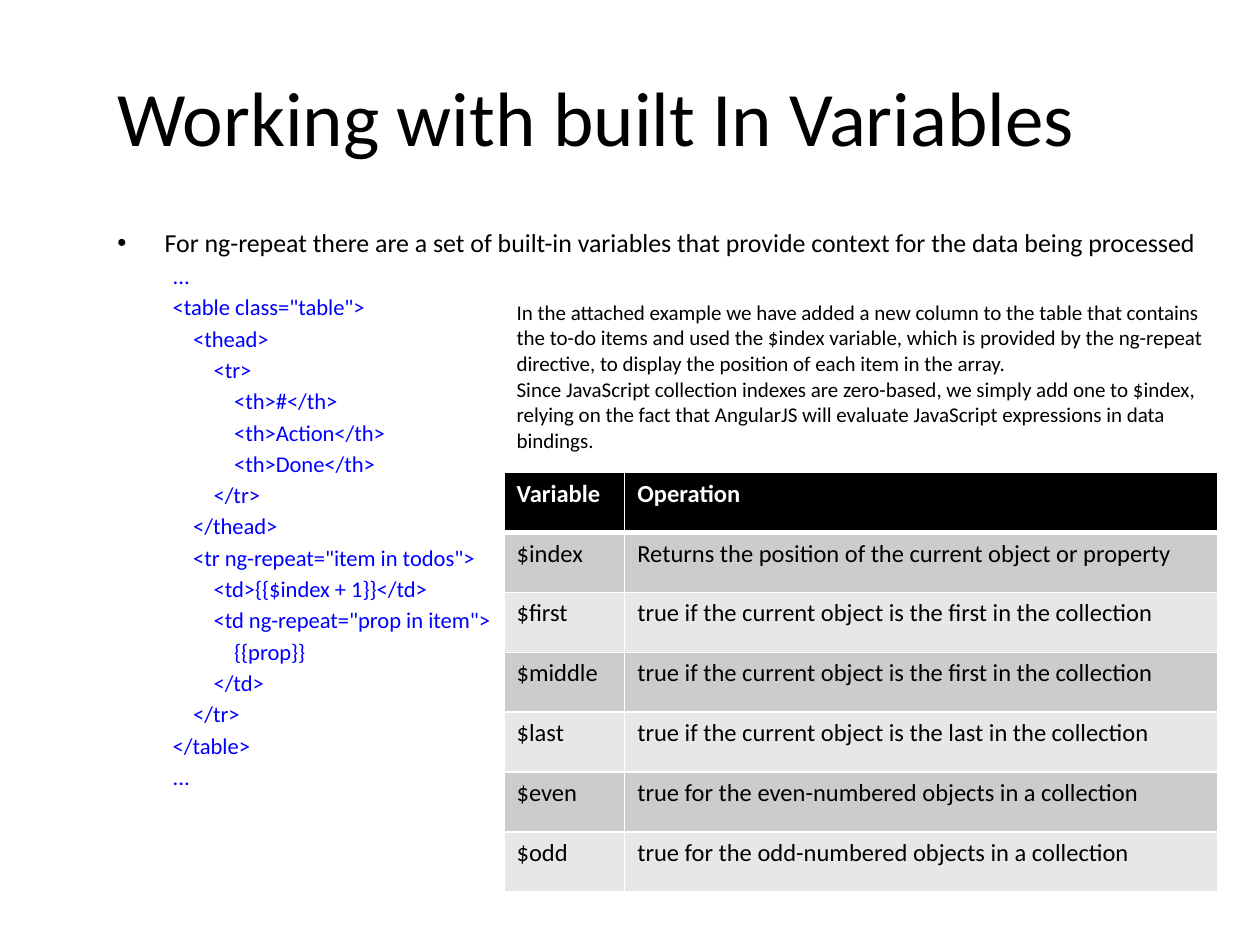
from dataclasses import dataclass

from lxml.etree import SubElement
from pptx import Presentation
from pptx.dml.color import RGBColor
from pptx.enum.text import MSO_ANCHOR, PP_ALIGN
from pptx.oxml.ns import qn
from pptx.util import Pt


@dataclass(frozen=True)
class Theme:
    font: str = "Calibri"
    black: str = "000000"
    white: str = "FFFFFF"
    code: str = "0000FF"
    bands: tuple = ("CCCCCC", "E7E7E7")
    title_size: float = 44
    bullet_size: float = 14.8
    code_size: float = 12.9
    note_size: float = 12
    table_size: float = 14


THEME = Theme()

BULLET = ("For ng-repeat there are a set of built-in variables that provide "
          "context for the data being processed")

# Each code line has its nesting depth
CODE = [
    (0, "..."),
    (0, '<table class="table">'),
    (1, "<thead>"),
    (2, "<tr>"),
    (3, "<th>#</th>"),
    (3, "<th>Action</th>"),
    (3, "<th>Done</th>"),
    (2, "</tr>"),
    (1, "</thead>"),
    (1, '<tr ng-repeat="item in todos">'),
    (2, "<td>{{$index + 1}}</td>"),
    (2, '<td ng-repeat="prop in item">'),
    (3, "{{prop}}"),
    (2, "</td>"),
    (1, "</tr>"),
    (0, "</table>"),
    (0, "..."),
]

NOTES = [
    "In the attached example we have added a new column to the table that "
    "contains the to-do items and used the $index variable, which is provided "
    "by the ng-repeat directive, to display the position of each item in the array.",
    "Since JavaScript collection indexes are zero-based, we simply add one to "
    "$index, relying on the fact that AngularJS will evaluate JavaScript "
    "expressions in data bindings.",
]

VARIABLES = [
    ("Variable", "Operation"),
    ("$index", "Returns the position of the current object or property"),
    ("$first", "true if the current object is the first in the collection"),
    ("$middle", "true if the current object is the first in the collection"),
    ("$last", "true if the current object is the last in the collection"),
    ("$even", "true for the even-numbered objects in a collection"),
    ("$odd", "true for the odd-numbered objects in a collection"),
]


def add_run(paragraph, text, size, color=THEME.black, bold=False):
    run = paragraph.add_run()
    run.text = text
    run.font.name = THEME.font
    run.font.size = Pt(size)
    run.font.bold = bold
    run.font.color.rgb = RGBColor.from_string(color)


def set_indent(paragraph, left, first_line=0, bullet=None):
    properties = paragraph._p.get_or_add_pPr()
    properties.set("marL", str(Pt(left)))
    properties.set("indent", str(Pt(first_line)))
    if bullet:
        SubElement(properties, qn("a:buFont"), typeface="Arial")
        SubElement(properties, qn("a:buChar"), char=bullet)


def set_title(slide, text):
    title = slide.shapes.title
    title.left, title.top, title.width, title.height = Pt(60), Pt(21), Pt(636), Pt(90)
    frame = title.text_frame
    frame.vertical_anchor = MSO_ANCHOR.MIDDLE
    paragraph = frame.paragraphs[0]
    paragraph.alignment = PP_ALIGN.LEFT
    add_run(paragraph, text, THEME.title_size)


def add_body(slide, bullet, code_lines):
    frame = slide.shapes.add_textbox(Pt(60), Pt(126), Pt(636), Pt(338)).text_frame
    frame.word_wrap = True
    paragraph = frame.paragraphs[0]
    set_indent(paragraph, 27, -27, "•")
    add_run(paragraph, bullet, THEME.bullet_size)
    for depth, text in code_lines:
        paragraph = frame.add_paragraph()
        paragraph.space_before = Pt(2.4)
        set_indent(paragraph, 31.6 + 11.7 * depth)
        add_run(paragraph, text, THEME.code_size, THEME.code)


def add_grid(slide, top, column_widths, row_height, row_count):
    frame = slide.shapes.add_table(row_count, len(column_widths), Pt(288), Pt(top),
                                   Pt(sum(column_widths)), Pt(row_height * row_count))
    table = frame.table
    table.first_row = table.horz_banding = False
    for column, width in zip(table.columns, column_widths):
        column.width = Pt(width)
    for row in table.rows:
        row.height = Pt(row_height)
    return table


def set_border(cell, side, width):
    line = SubElement(cell._tc.get_or_add_tcPr(), qn(f"a:ln{side}"), w=str(Pt(width)))
    fill = SubElement(line, qn("a:solidFill"))
    SubElement(fill, qn("a:srgbClr"), val=THEME.white)


def add_notes(slide, notes):
    cell = add_grid(slide, 168, [408], 102, 1).cell(0, 0)
    cell.fill.background()
    frame = cell.text_frame
    for index, text in enumerate(notes):
        paragraph = frame.add_paragraph() if index else frame.paragraphs[0]
        add_run(paragraph, text, THEME.note_size)


def add_variable_table(slide, rows):
    table = add_grid(slide, 270, [69, 339], 34.25, len(rows))
    for row_index, row in enumerate(rows):
        header = row_index == 0
        fill = THEME.black if header else THEME.bands[(row_index - 1) % 2]
        # The rule below the header is thicker than the others
        widths = {"L": 1, "R": 1, "T": 3 if row_index == 1 else 1, "B": 3 if header else 1}
        for column_index, text in enumerate(row):
            cell = table.cell(row_index, column_index)
            for side, width in widths.items():
                set_border(cell, side, width)
            cell.fill.solid()
            cell.fill.fore_color.rgb = RGBColor.from_string(fill)
            add_run(cell.text_frame.paragraphs[0], text, THEME.table_size,
                    THEME.white if header else THEME.black, header)


def main():
    presentation = Presentation()
    presentation.slide_width, presentation.slide_height = Pt(720), Pt(540)
    slide = presentation.slides.add_slide(presentation.slide_layouts[5])

    # Heading, bullet and code sample
    set_title(slide, "Working with built In Variables")
    add_body(slide, BULLET, CODE)

    # Explanation and reference table on the right
    add_notes(slide, NOTES)
    add_variable_table(slide, VARIABLES)

    presentation.save("out.pptx")


if __name__ == "__main__":
    main()
